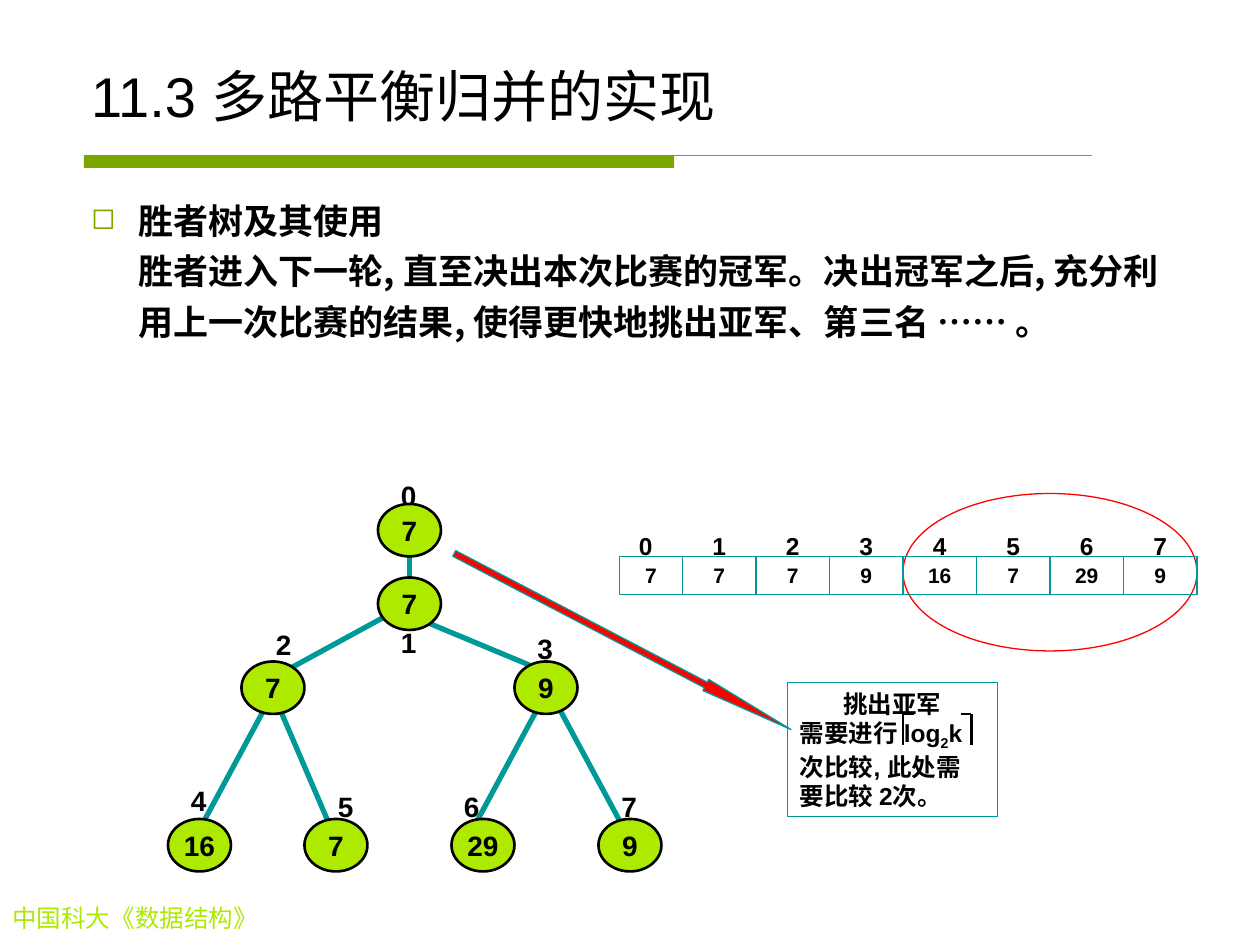
from lxml import etree
from pptx import Presentation
from pptx.dml.color import RGBColor
from pptx.enum.shapes import MSO_CONNECTOR, MSO_SHAPE
from pptx.enum.text import MSO_ANCHOR, PP_ALIGN
from pptx.oxml.ns import qn
from pptx.util import Emu, Pt

PX = 7620  # 120 px to the inch
BLACK = RGBColor(0x00, 0x00, 0x00)
OLIVE = RGBColor(0x7B, 0xA6, 0x00)
LIME = RGBColor(0xAD, 0xEA, 0x00)
TEAL = RGBColor(0x00, 0x99, 0x99)
RED = RGBColor(0xFF, 0x00, 0x00)
CJK = "Noto Sans CJK SC"
LEFT, CENTER = PP_ALIGN.LEFT, PP_ALIGN.CENTER
TOP, MIDDLE, BOTTOM = MSO_ANCHOR.TOP, MSO_ANCHOR.MIDDLE, MSO_ANCHOR.BOTTOM
OVAL, RECTANGLE, ARROW = MSO_SHAPE.OVAL, MSO_SHAPE.RECTANGLE, MSO_SHAPE.RIGHT_ARROW
STRAIGHT = MSO_CONNECTOR.STRAIGHT

deck = Presentation()
deck.slide_width, deck.slide_height = Emu(1200 * PX), Emu(900 * PX)
page = deck.slides.add_slide(deck.slide_layouts[6])


def add_box(place, lines=(), kind=None, fill=None, line=None, weight=0.75,
            size=16, bold=True, color=BLACK, font="Arial", align=LEFT,
            anchor=TOP, wrap=True):
    """Add a text box, or a preset shape if kind is given; "\\n" breaks a line."""
    place = [Emu(n * PX) for n in place]
    if kind is None:
        box = page.shapes.add_textbox(*place)
    else:
        box = page.shapes.add_shape(kind, *place)
        box.shadow.inherit = False
        if fill is None:
            box.fill.background()
        else:
            box.fill.solid()
            box.fill.fore_color.rgb = fill
        if line is None:
            box.line.fill.background()
        else:
            box.line.color.rgb = line
            box.line.width = Pt(weight)
    frame = box.text_frame
    frame.word_wrap = wrap
    frame.vertical_anchor = anchor
    for number, text in enumerate(lines):
        para = frame.add_paragraph() if number else frame.paragraphs[0]
        para.alignment = align
        para.text = text
        for span in para.runs:
            looks = {"size": Pt(size), "bold": bold, "name": font}
            for name, value in looks.items():
                setattr(span.font, name, value)
            span.font.color.rgb = color
            east = etree.SubElement(span._r.get_or_add_rPr(), qn("a:ea"))
            east.set("typeface", CJK)
    return box


def add_line(x1, y1, x2, y2, color, weight):
    line = page.shapes.add_connector(STRAIGHT, *[Emu(n * PX) for n in (x1, y1, x2, y2)])
    line.line.color.rgb = color
    line.line.width = Pt(weight)
    etree.SubElement(line._element.spPr, qn("a:effectLst"))


# Header rule, footer and title
add_box((80, 148, 562, 12), kind=RECTANGLE, fill=OLIVE, line=None)
add_line(80, 148, 1040, 148, OLIVE, 0.75)
add_box((0, 854, 373, 41), ["中国科大《数据结构》"], size=14, bold=False,
        color=LIME, font="Times New Roman")
add_box((75, 40, 1050, 88), ["11.3 多路平衡归并的实现"], size=32, bold=False, anchor=BOTTOM)

# Body with a square bullet
body = add_box(
    (75, 176, 1050, 194),
    ["胜者树及其使用\n胜者进入下一轮, 直至决出本次比赛的冠军。决出冠军之后, "
     "充分利用上一次比赛的结果, 使得更快地挑出亚军、第三名 …… 。"],
    size=20, font=CJK)
para = body.text_frame.paragraphs[0]
para.line_spacing = 1.2
props = para._p.get_or_add_pPr()
props.set("marL", str(45 * PX))
props.set("indent", str(-45 * PX))
bullet_color = etree.SubElement(props, qn("a:buClr"))
etree.SubElement(bullet_color, qn("a:srgbClr")).set("val", "7CA800")
etree.SubElement(props, qn("a:buSzPct")).set("val", "85000")
etree.SubElement(props, qn("a:buChar")).set("char", "◻")

# Ring around the leaves in the array
add_box((860, 470, 280, 150), kind=OVAL, line=RED)

# Winner tree
edges = [
    (390, 510, 390, 560), (380, 580, 270, 640), (400, 590, 520, 640),
    (260, 660, 190, 790), (260, 660, 320, 800),
    (520, 660, 450, 790), (530, 670, 600, 800),
]
for edge in edges:
    add_line(*edge, TEAL, 3)

winners = [7, 7, 7, 9, 16, 7, 29, 9]
node_places = [(360, 480), (360, 550), (230, 630), (490, 630),
               (160, 780), (290, 780), (430, 780), (570, 780)]
label_places = [(370, 450), (370, 590), (251, 592), (500, 596),
                (170, 740), (310, 746), (430, 746), (580, 746)]
for index, winner in enumerate(winners):
    add_box((*label_places[index], 60, 44), [str(index)])
    add_box((*node_places[index], 60, 50), [str(winner)], kind=OVAL, fill=LIME,
            line=BLACK, weight=1.5, align=CENTER, anchor=MIDDLE, wrap=False)

# Arrow to the note
arrow = add_box((412, 605, 362, 12), kind=ARROW, fill=RED, line=TEAL)
arrow.adjustments[0], arrow.adjustments[1] = 0.5, 7.63
arrow.rotation = 27.6

# Note on the runner-up, with ceiling brackets around log2k
note = add_box((750, 650, 200, 128), ["挑出亚军"], kind=RECTANGLE, line=TEAL,
               size=14, align=CENTER)
para = note.text_frame.add_paragraph()
para.alignment = LEFT
for text, baseline in [("需要进行 log", 0), ("2", -25000), ("k 次比较, 此处需要比较 2次。", 0)]:
    span = para.add_run()
    span.text = text
    for name, value in {"size": Pt(14), "bold": True, "name": "Arial"}.items():
        setattr(span.font, name, value)
    span.font.color.rgb = BLACK
    run_props = span._r.get_or_add_rPr()
    run_props.set("baseline", str(baseline))
    etree.SubElement(run_props, qn("a:ea")).set("typeface", CJK)
for upright, tip in [(860, 870), (925, 915)]:
    add_line(upright, 680, upright, 710, BLACK, 1.5)
    add_line(upright, 680, tip, 680, BLACK, 1.5)

# Array holding the tree; the first cell is narrower
for index, winner in enumerate(winners):
    left = 580 + 70 * index
    inset = 10 if index == 0 else 0
    add_box((left, 500, 70, 41), [str(index)], size=14, align=CENTER)
    add_box((left + inset, 530, 70 - inset, 36), [str(winner)], kind=RECTANGLE,
            line=TEAL, size=12, align=CENTER)

deck.save("out.pptx")
